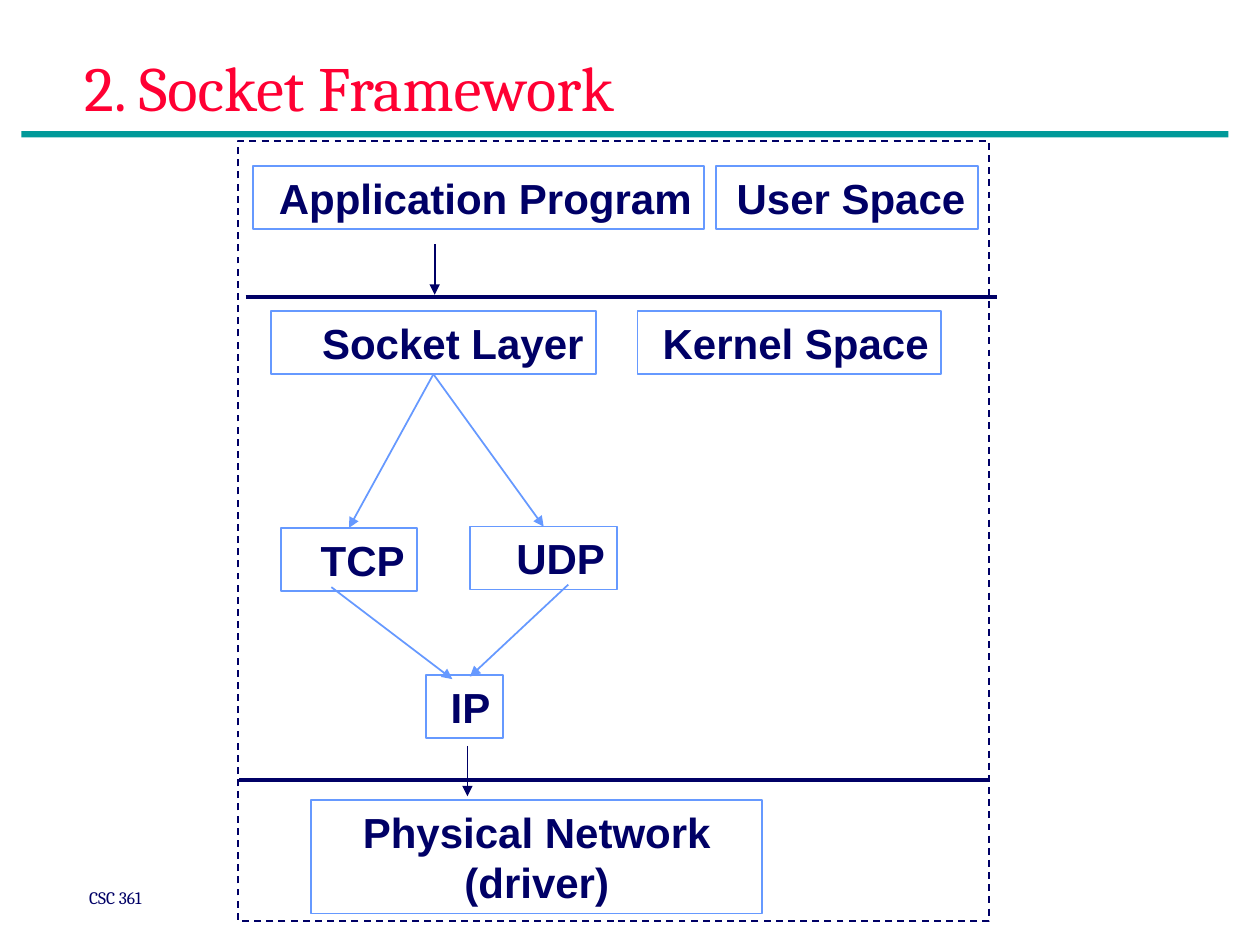
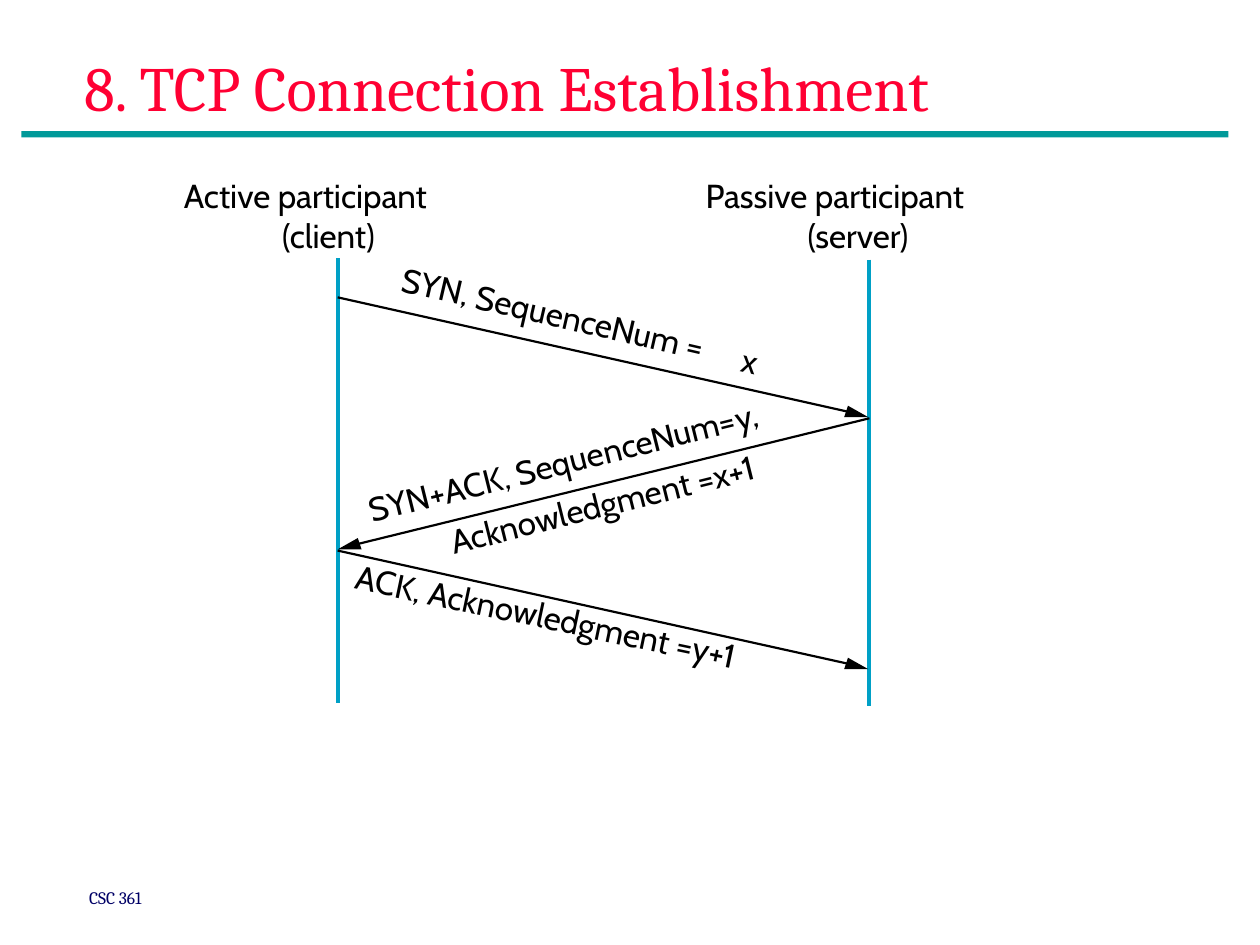
"""Builds two networking slides: the socket framework and the TCP handshake."""
from dataclasses import dataclass
from typing import Any, NamedTuple, Optional

from lxml.etree import SubElement
from pptx import Presentation
from pptx.dml.color import RGBColor
from pptx.enum.dml import MSO_LINE
from pptx.enum.shapes import MSO_CONNECTOR, MSO_SHAPE
from pptx.enum.text import MSO_ANCHOR, PP_ALIGN
from pptx.oxml.ns import qn
from pptx.util import Emu, Pt

PX = 9144


class TextStyle(NamedTuple):
    font: str
    size: int
    color: str
    bold: bool = False
    align: PP_ALIGN = PP_ALIGN.LEFT
    anchor: MSO_ANCHOR = MSO_ANCHOR.TOP
    inset: tuple[int, int] = (10, 5)


class LineStyle(NamedTuple):
    color: str
    width: float
    arrow: bool = False


@dataclass(frozen=True)
class Theme:
    band: str = "009999"
    head: str = "000000"
    title: TextStyle = TextStyle("Cambria", 36, "FF0033", anchor=MSO_ANCHOR.MIDDLE)
    footer: TextStyle = TextStyle("Cambria", 10, "000066")
    layer: TextStyle = TextStyle("Arial", 24, "000066", True, PP_ALIGN.RIGHT)
    driver: TextStyle = TextStyle("Arial", 24, "000066", True, PP_ALIGN.CENTER)
    label: TextStyle = TextStyle("Cabin", 19, "000000", inset=(0, 0))
    outline: LineStyle = LineStyle("6699FF", 1)
    frame: LineStyle = LineStyle("000066", 1)
    flow: LineStyle = LineStyle("6699FF", 1, True)
    step: LineStyle = LineStyle("000066", 1, True)
    boundary: LineStyle = LineStyle("000066", 2.25)
    lifeline: LineStyle = LineStyle("00A0C6", 2.38)
    message: LineStyle = LineStyle("000000", 1.25)


class Box(NamedTuple):
    left: int
    top: int
    width: int
    height: int


class Label(NamedTuple):
    text: str
    box: Box
    rotation: int = 0


class Segment(NamedTuple):
    x1: int
    y1: int
    x2: int
    y2: int
    style: LineStyle


class Message(NamedTuple):
    start: tuple[int, int]
    tip: tuple[int, int]


T = Theme()
LAYERS = [
    Label("Application Program", Box(201, 132, 358, 50)),
    Label("User Space", Box(568, 132, 208, 50)),
    Label("Socket Layer", Box(215, 247, 258, 50)),
    Label("Kernel Space", Box(506, 247, 241, 50)),
    Label("TCP", Box(223, 419, 108, 50)),
    Label("UDP", Box(373, 418, 117, 50)),
    Label("IP", Box(338, 536, 61, 50)),
]
STACK_LINES = [
    Segment(263, 466, 359, 539, T.flow),
    Segment(451, 464, 373, 537, T.flow),
    Segment(195, 236, 791, 236, T.boundary),
    Segment(190, 619, 786, 619, T.boundary),
    Segment(345, 194, 345, 234, T.step),
    Segment(371, 592, 371, 632, T.step),
]
HANDSHAKE_LABELS = [
    Label("Active participant", Box(146, 139, 215, 32)),
    Label("(client)", Box(224, 171, 83, 32)),
    Label("Passive participant", Box(560, 139, 232, 32)),
    Label("(server)", Box(641, 171, 93, 32)),
    Label("SYN, SequenceNum =", Box(316, 235, 267, 32), 13),
    Label("x", Box(589, 270, 14, 32), 13),
    Label("SYN+ACK, SequenceNum=y,", Box(288, 344, 370, 32), 346),
    Label("Acknowledgment =x+1", Box(354, 380, 282, 32), 346),
    Label("ACK, Acknowledgment =y+1", Box(279, 477, 345, 32), 12),
]
LIFELINES = [
    Segment(268, 205, 268, 558, T.lifeline),
    Segment(690, 206, 690, 560, T.lifeline),
]
MESSAGES = [
    Message((268, 236), (689, 331)),
    Message((690, 332), (268, 436)),
    Message((268, 437), (689, 531)),
]


def emu(*lengths: int) -> list[Emu]:
    """Turn px lengths into EMU."""
    return [Emu(n * PX) for n in lengths]


def apply(obj: Any, values: dict[str, Any]) -> None:
    """Set each named attribute on an object."""
    for name, value in values.items():
        setattr(obj, name, value)


def stroke(line: Any, style: LineStyle) -> None:
    """Colour and size an outline."""
    line.color.rgb = RGBColor.from_string(style.color)
    line.width = Pt(style.width)


def write(sp: Any, text: str, style: TextStyle) -> None:
    """Put one styled paragraph into a shape."""
    tf = sp.text_frame
    dx, dy = emu(*style.inset)
    apply(tf, {"word_wrap": True, "vertical_anchor": style.anchor,
               "margin_left": dx, "margin_right": dx,
               "margin_top": dy, "margin_bottom": dy})
    p = tf.paragraphs[0]
    p.alignment = style.align
    r = p.add_run()
    r.text = text
    apply(r.font, {"name": style.font, "size": Pt(style.size), "bold": style.bold})
    r.font.color.rgb = RGBColor.from_string(style.color)


def add_text(s: Any, label: Label, style: TextStyle) -> None:
    """Add a text box, turned if the label is."""
    sp = s.shapes.add_textbox(*emu(*label.box))
    sp.rotation = label.rotation
    write(sp, label.text, style)


def add_rect(s: Any, box: Box, line: Optional[LineStyle] = None, fill: str = "") -> Any:
    """Add a rectangle with an optional outline and fill."""
    sp = s.shapes.add_shape(MSO_SHAPE.RECTANGLE, *emu(*box))
    sp.shadow.inherit = False
    if fill:
        sp.fill.solid()
        sp.fill.fore_color.rgb = RGBColor.from_string(fill)
    else:
        sp.fill.background()
    if line:
        stroke(sp.line, line)
    else:
        sp.line.fill.background()
    return sp


def add_layer(s: Any, label: Label, style: TextStyle) -> Any:
    """Add an outlined box with its name."""
    sp = add_rect(s, label.box, T.outline)
    write(sp, label.text, style)
    return sp


def add_line(s: Any, seg: Segment) -> Any:
    """Add a straight connector, with an arrowhead if its style has one."""
    cx = s.shapes.add_connector(
        MSO_CONNECTOR.STRAIGHT, *emu(seg.x1, seg.y1, seg.x2, seg.y2))
    stroke(cx.line, seg.style)
    sp_pr = cx.element.spPr
    if seg.style.arrow:
        SubElement(sp_pr.find(qn("a:ln")), qn("a:tailEnd"), type="triangle")
    SubElement(sp_pr, qn("a:effectLst"))
    return cx


def add_message(s: Any, msg: Message) -> None:
    """Add a message line with a slim solid head at its tip."""
    x, y = msg.tip
    way = 1 if x > msg.start[0] else -1
    add_line(s, Segment(*msg.start, x - 15 * way, y - 4, T.message))
    builder = s.shapes.build_freeform(x, y, scale=PX)
    builder.add_line_segments([(x - 19 * way, y), (x - 16 * way, y - 9)], close=True)
    sp = builder.convert_to_shape()
    sp.shadow.inherit = False
    sp.fill.solid()
    sp.fill.fore_color.rgb = RGBColor.from_string(T.head)
    sp.line.fill.background()


def new_slide(prs: Any, title: str) -> Any:
    """Start a blank slide with band, footer and title."""
    s = prs.slides.add_slide(prs.slide_layouts[6])
    add_rect(s, Box(17, 104, 958, 5), fill=T.band)
    add_text(s, Label("CSC 361", Box(61, 699, 75, 27)), T.footer)
    add_text(s, Label(title, Box(57, 0, 896, 137)), T.title)
    return s


def socket_framework(prs: Any) -> None:
    """Draw the protocol stack from program to driver."""
    s = new_slide(prs, "2. Socket Framework")
    layers = {label.text: add_layer(s, label, T.layer) for label in LAYERS}
    add_layer(s, Label("Physical Network (driver)", Box(247, 635, 358, 90)), T.driver)
    for name in ("TCP", "UDP"):
        cx = add_line(s, Segment(344, 297, 344, 419, T.flow))
        cx.begin_connect(layers["Socket Layer"], 2)
        cx.end_connect(layers[name], 0)
    for seg in STACK_LINES:
        add_line(s, seg)
    add_rect(s, Box(189, 112, 596, 619), T.frame).line.dash_style = MSO_LINE.DASH


def tcp_connection(prs: Any) -> None:
    """Draw the three-way handshake."""
    s = new_slide(prs, "8. TCP Connection Establishment")
    for label in HANDSHAKE_LABELS:
        add_text(s, label, T.label)
    for seg in LIFELINES:
        add_line(s, seg)
    for msg in MESSAGES:
        add_message(s, msg)


def main() -> None:
    """Build and save the deck."""
    prs = Presentation()
    prs.slide_width, prs.slide_height = emu(1000, 750)
    socket_framework(prs)
    tcp_connection(prs)
    prs.save("out.pptx")


if __name__ == "__main__":
    main()
